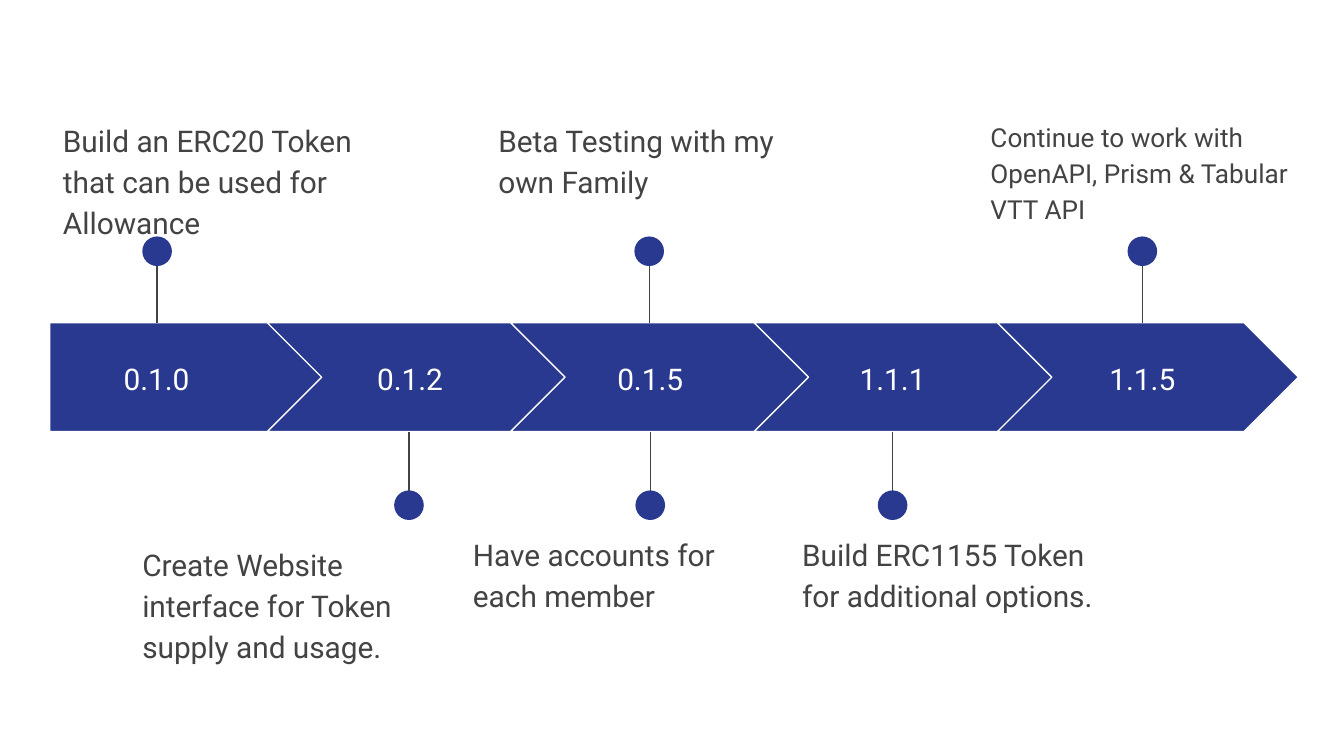
from dataclasses import dataclass

from lxml.etree import SubElement
from pptx import Presentation
from pptx.dml.color import RGBColor
from pptx.enum.shapes import MSO_CONNECTOR, MSO_SHAPE
from pptx.enum.text import MSO_ANCHOR, PP_ALIGN
from pptx.oxml.ns import qn
from pptx.shapes.autoshape import Shape
from pptx.slide import Slide
from pptx.util import Cm, Pt

NAVY = RGBColor(0x2A, 0x39, 0x90)
GREY = RGBColor(0x43, 0x43, 0x43)
WHITE = RGBColor(0xFF, 0xFF, 0xFF)
FONT = "Roboto"

BAND_TOP, BAND_HEIGHT = 6.1, 2.06
BAND_BOTTOM = BAND_TOP + BAND_HEIGHT
START_LEFT, START_WIDTH = 0.94, 5.21
CHEVRON_LEFT, CHEVRON_WIDTH, CHEVRON_STEP = 5.05, 5.69, 4.6
DOT_SIZE = 0.56
UPPER_DOT_TOP, LOWER_DOT_TOP = 4.47, 9.27
NOTE_WIDTH, NOTE_HEIGHT = 6.22, 2.51


@dataclass(frozen=True)
class Version:
    name: str
    left: float
    width: float = 3.66


@dataclass(frozen=True)
class Milestone:
    note: str
    pin: float
    left: float
    top: float
    above: bool
    size: int = 16


VERSIONS = [
    Version("0.1.0", 0.94, 4.04),
    Version("0.1.2", 5.92),
    Version("0.1.5", 10.46),
    Version("1.1.1", 15.04),
    Version("1.1.5", 19.76),
]

MILESTONES = [
    Milestone("Build an ERC20 Token that can be used for Allowance", 2.97, 0.94, 1.96, True),
    Milestone("Create Website interface for Token supply and usage.", 7.73, 2.44, 9.98, False),
    Milestone("Beta Testing with my own Family", 12.27, 9.17, 1.96, True),
    Milestone("Have accounts for each member", 12.29, 8.69, 9.8, False),
    Milestone("Build ERC1155 Token for additional options.", 16.87, 14.91, 9.8, False),
    Milestone("Continue to work with OpenAPI, Prism & Tabular VTT API", 21.59, 18.47, 1.96, True, 14),
]


def add_text(page: Slide, text: str, left: float, top: float, width: float,
             height: float, size: int, color: RGBColor) -> Shape:
    box = page.shapes.add_textbox(Cm(left), Cm(top), Cm(width), Cm(height))
    frame = box.text_frame
    frame.word_wrap = True
    frame.margin_left = frame.margin_right = Cm(0.25)
    frame.margin_top = frame.margin_bottom = Cm(0.25)
    frame.text = text
    for span in frame.paragraphs[0].runs:
        span.font.name = FONT
        span.font.size = Pt(size)
        span.font.color.rgb = color
    return box


def add_version(page: Slide, index: int, version: Version) -> None:
    if index == 0:
        kind, left, width = MSO_SHAPE.PENTAGON, START_LEFT, START_WIDTH
    else:
        kind, width = MSO_SHAPE.CHEVRON, CHEVRON_WIDTH
        left = CHEVRON_LEFT + (index - 1) * CHEVRON_STEP
    arrow = page.shapes.add_shape(kind, Cm(left), Cm(BAND_TOP), Cm(width), Cm(BAND_HEIGHT))
    arrow.adjustments[0] = 0.5
    arrow.shadow.inherit = False
    arrow.fill.solid()
    arrow.fill.fore_color.rgb = NAVY
    arrow.line.color.rgb = WHITE
    arrow.line.width = Pt(0.75)

    label = add_text(page, version.name, version.left, 6.5, version.width, 1.3, 16, WHITE)
    label.text_frame.vertical_anchor = MSO_ANCHOR.MIDDLE
    label.text_frame.paragraphs[0].alignment = PP_ALIGN.CENTER


def add_milestone(page: Slide, milestone: Milestone) -> None:
    dot_top = UPPER_DOT_TOP if milestone.above else LOWER_DOT_TOP
    band_edge = BAND_TOP if milestone.above else BAND_BOTTOM
    stem = page.shapes.add_connector(
        MSO_CONNECTOR.STRAIGHT, Cm(milestone.pin), Cm(dot_top + DOT_SIZE / 2),
        Cm(milestone.pin), Cm(band_edge))
    stem.line.color.rgb = GREY
    stem.line.width = Pt(0.75)
    SubElement(stem._element.spPr, qn("a:effectLst"))

    dot = page.shapes.add_shape(
        MSO_SHAPE.OVAL, Cm(milestone.pin - DOT_SIZE / 2), Cm(dot_top),
        Cm(DOT_SIZE), Cm(DOT_SIZE))
    dot.shadow.inherit = False
    dot.fill.solid()
    dot.fill.fore_color.rgb = NAVY
    dot.line.fill.background()

    note = add_text(page, milestone.note, milestone.left, milestone.top,
                    NOTE_WIDTH, NOTE_HEIGHT, milestone.size, GREY)
    para = note.text_frame.paragraphs[0]
    para.line_spacing = 1.15
    para.space_after = Pt(16)


def main() -> None:
    deck = Presentation()
    deck.slide_width, deck.slide_height = Cm(25.4), Cm(14.29)
    page = deck.slides.add_slide(deck.slide_layouts[6])
    for index, version in enumerate(VERSIONS):
        add_version(page, index, version)
    for milestone in MILESTONES:
        add_milestone(page, milestone)
    deck.save("out.pptx")


if __name__ == "__main__":
    main()
